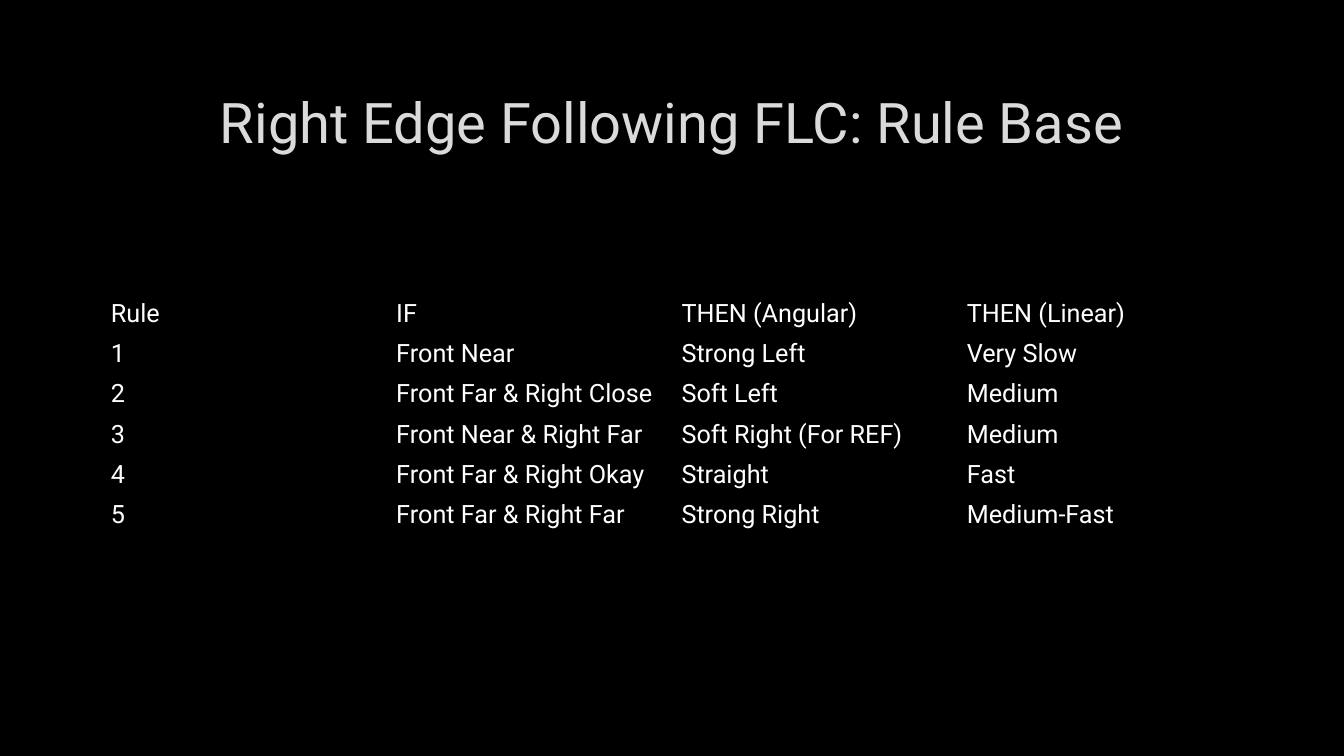
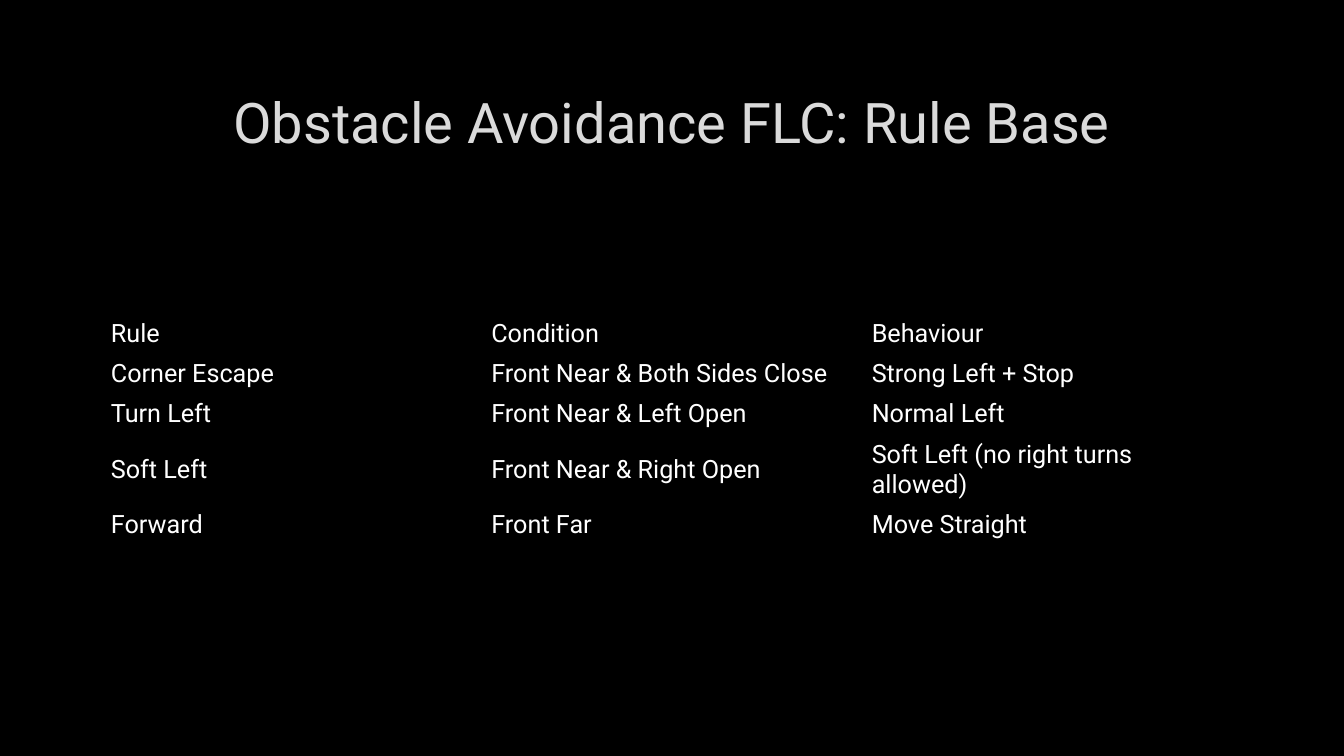
from pptx import Presentation
from pptx.dml.color import RGBColor
from pptx.enum.text import MSO_ANCHOR as Anchor, PP_ALIGN as Align
from pptx.util import Inches, Pt

COLORS = {"background": "000000", "title": "DADADA", "body": "FFFFFF"}
FONT = "Roboto"
PLAIN_TABLE_STYLE = "{2D5ABB26-0587-4C30-8999-92F81FD0307C}"
LEFT, WIDTH = 1, 11.32
TITLE_BOX = (LEFT, 0.67, WIDTH, 1.06)

RULE_BASES = [
    {
        "title": "Right Edge Following FLC: Rule Base",
        "top": 2.91,
        "row_height": 0.4,
        "rules": [
            ("Rule", "IF", "THEN (Angular)", "THEN (Linear)"),
            ("1", "Front Near", "Strong Left", "Very Slow"),
            ("2", "Front Far & Right Close", "Soft Left", "Medium"),
            ("3", "Front Near & Right Far", "Soft Right (For REF)", "Medium"),
            ("4", "Front Far & Right Okay", "Straight", "Fast"),
            ("5", "Front Far & Right Far", "Strong Right", "Medium-Fast"),
        ],
    },
    {
        "title": "Obstacle Avoidance FLC: Rule Base",
        "top": 3.11,
        "row_height": 0.39,
        "rules": [
            ("Rule", "Condition", "Behaviour"),
            ("Corner Escape", "Front Near & Both Sides Close", "Strong Left + Stop"),
            ("Turn Left", "Front Near & Left Open", "Normal Left"),
            ("Soft Left", "Front Near & Right Open", "Soft Left (no right turns allowed)"),
            ("Forward", "Front Far", "Move Straight"),
        ],
    },
]


def write(frame, text, size, color, align=Align.LEFT):
    frame.text = text
    paragraph = frame.paragraphs[0]
    paragraph.alignment = align
    font = paragraph.runs[0].font
    font.name = FONT
    font.size = Pt(size)
    font.color.rgb = RGBColor.from_string(COLORS[color])


def add_title(slide, box, text):
    frame = slide.shapes.add_textbox(*map(Inches, box)).text_frame
    frame.word_wrap = True
    frame.vertical_anchor = Anchor.MIDDLE
    write(frame, text, 40, "title", Align.CENTER)


def add_rule_table(slide, left, top, width, row_height, rules):
    row_count, column_count = len(rules), len(rules[0])
    table = slide.shapes.add_table(
        row_count, column_count, Inches(left), Inches(top),
        Inches(width), Inches(row_height * row_count),
    ).table
    table.first_row = False
    table.horz_banding = False
    table._tbl.tblPr[0].text = PLAIN_TABLE_STYLE
    for row, rule in zip(table.rows, rules):
        row.height = Inches(row_height)
        for cell, text in zip(row.cells, rule):
            cell.fill.background()
            cell.vertical_anchor = Anchor.MIDDLE
            write(cell.text_frame, text, 18, "body")


def add_rule_base_slide(deck, rule_base):
    slide = deck.slides.add_slide(deck.slide_layouts[6])
    add_title(slide, TITLE_BOX, rule_base["title"])
    add_rule_table(slide, LEFT, rule_base["top"], WIDTH,
                   rule_base["row_height"], rule_base["rules"])


def main():
    deck = Presentation()
    deck.slide_width, deck.slide_height = Inches(13.33), Inches(7.5)
    backdrop = deck.slide_master.background.fill
    backdrop.solid()
    backdrop.fore_color.rgb = RGBColor.from_string(COLORS["background"])
    for rule_base in RULE_BASES:
        add_rule_base_slide(deck, rule_base)
    deck.save("out.pptx")


if __name__ == "__main__":
    main()
